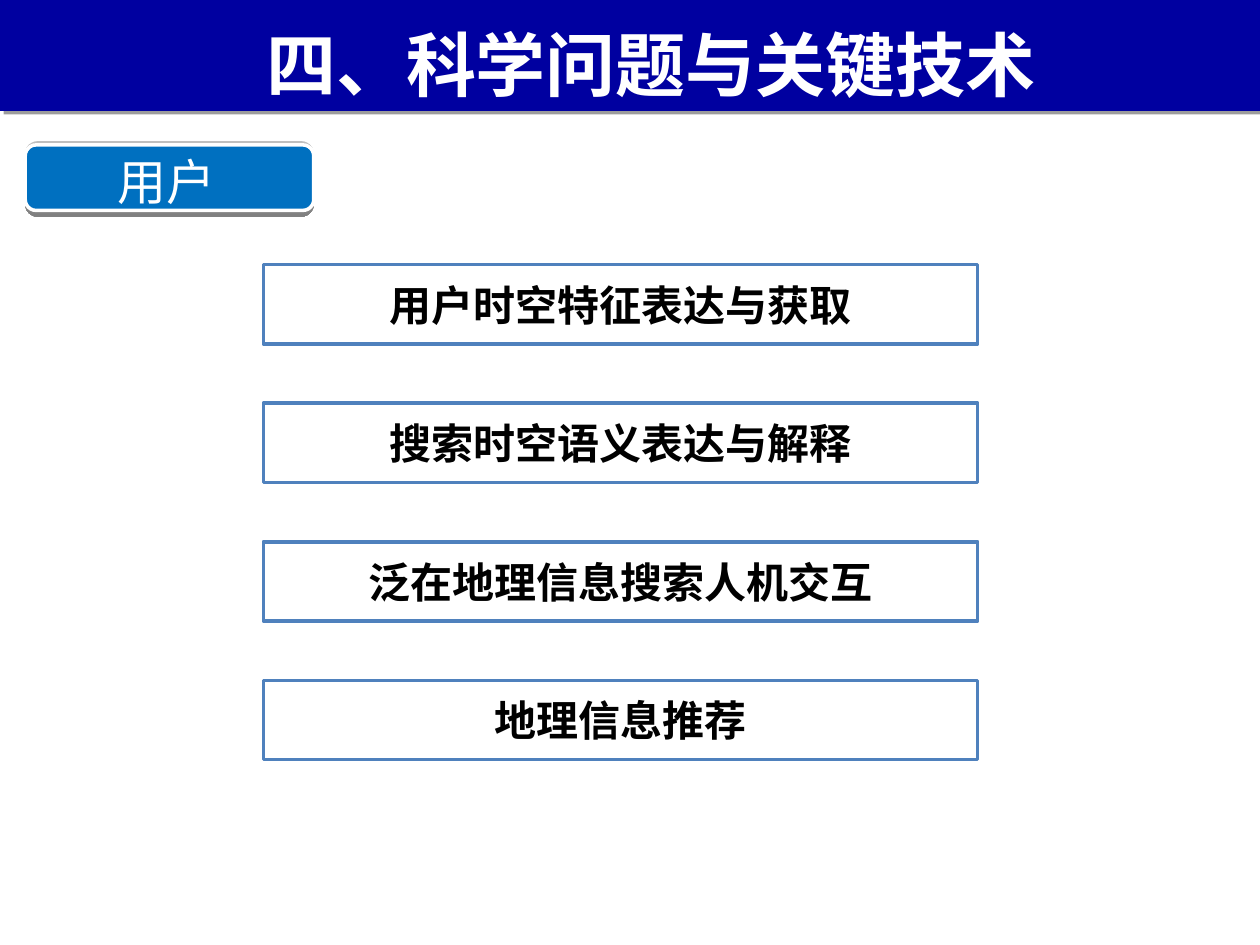
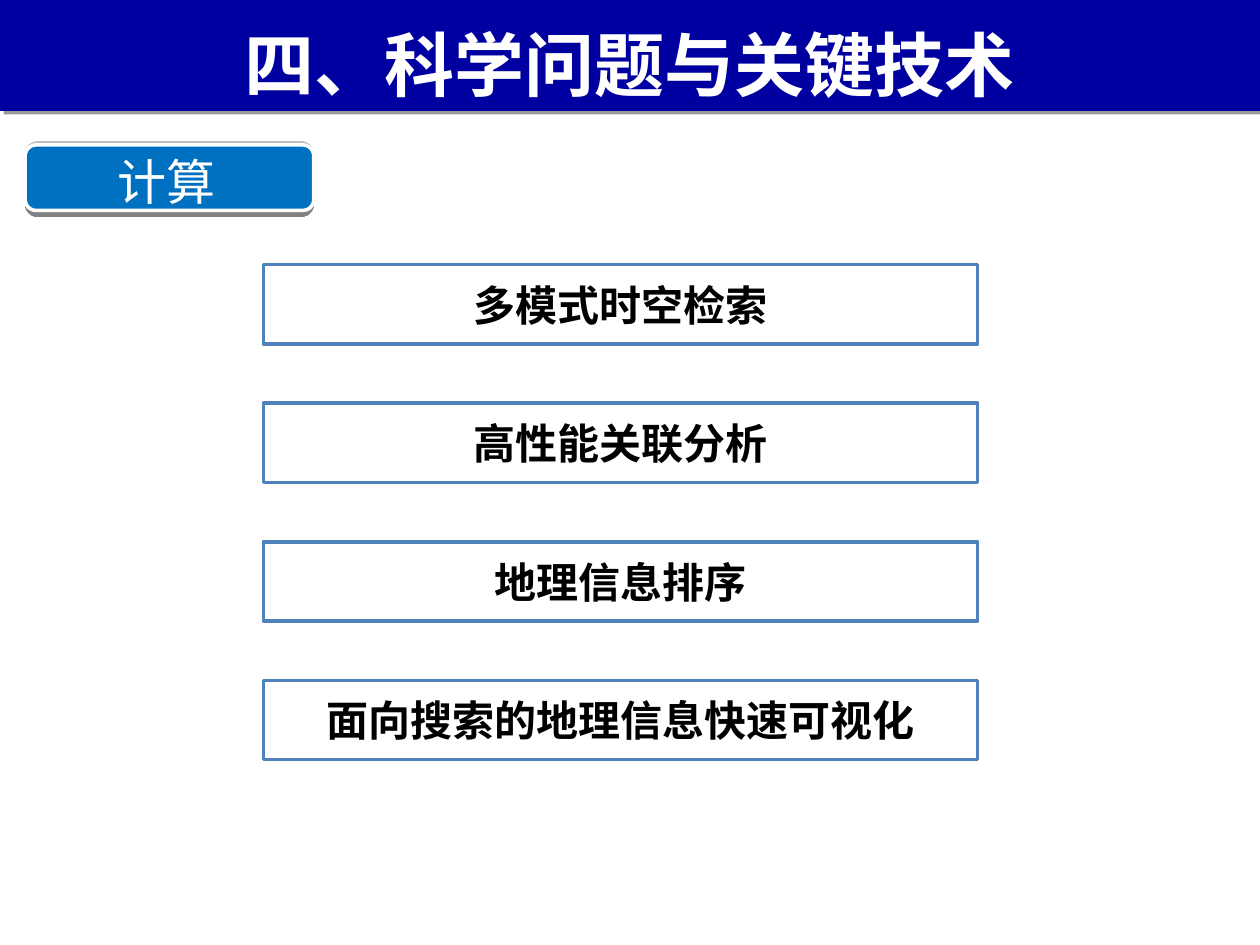
from dataclasses import dataclass
from typing import Any

from lxml.etree import SubElement
from pptx import Presentation
from pptx.dml.color import RGBColor
from pptx.enum.shapes import MSO_SHAPE as Preset
from pptx.enum.text import MSO_ANCHOR as Anchor, MSO_AUTO_SIZE as AutoSize, PP_ALIGN as Align
from pptx.oxml.ns import qn
from pptx.util import Pt

EMU_PER_PX = 9144
FONT = "Noto Sans CJK SC"
NAVY, BLUE, BORDER = "0000A0", "0070C0", "4F81BD"
WHITE, BLACK = "FFFFFF", "000000"
RIM_TOP, RIM_BOTTOM = "BFBFBF", "808080"
HEADING = "四、科学问题与关键技术"


@dataclass(frozen=True)
class Box:
    left: int
    top: int
    width: int
    height: int

    def emu(self) -> list[int]:
        return [px * EMU_PER_PX for px in (self.left, self.top, self.width, self.height)]


@dataclass(frozen=True)
class TextStyle:
    size: int
    color: str
    bold: bool
    frame: dict[str, Any]


@dataclass(frozen=True)
class Topic:
    badge: str
    items: tuple[str, ...]
    title_left: int


BAND = Box(0, 0, 1000, 88)
RIM = Box(20, 112, 229, 60)
FACE = Box(20, 115, 229, 52)
BADGE_LABEL = Box(24, 115, 216, 57)
FIRST_ITEM = Box(209, 210, 567, 63)
ITEM_STEP = 110

TITLE_STYLE = TextStyle(40, WHITE, True, {"vertical_anchor": Anchor.MIDDLE})
ITEM_STYLE = TextStyle(24, BLACK, True, {"vertical_anchor": Anchor.MIDDLE})
BADGE_STYLE = TextStyle(28, WHITE, False, {"auto_size": AutoSize.SHAPE_TO_FIT_TEXT})

TOPICS = (
    Topic("用户", ("用户时空特征表达与获取", "搜索时空语义表达与解释",
                 "泛在地理信息搜索人机交互", "地理信息推荐"), 44),
    Topic("计算", ("多模式时空检索", "高性能关联分析",
                 "地理信息排序", "面向搜索的地理信息快速可视化"), 27),
)


def rgb(color: str) -> RGBColor:
    return RGBColor.from_string(color)


def apply(target: Any, values: dict[str, Any]) -> None:
    for attribute, value in values.items():
        setattr(target, attribute, value)


def write(shape: Any, text: str, style: TextStyle) -> None:
    frame = shape.text_frame
    apply(frame, {"word_wrap": True, **style.frame})
    paragraph = frame.paragraphs[0]
    paragraph.alignment = Align.CENTER
    run = paragraph.add_run()
    run.text = text
    apply(run.font, {"name": FONT, "size": Pt(style.size), "bold": style.bold})
    run.font.color.rgb = rgb(style.color)
    SubElement(run.font._element, qn("a:ea"), typeface=FONT)


def add_panel(shapes: Any, preset: Preset, box: Box, fill: str, line: str = "") -> Any:
    panel = shapes.add_shape(preset, *box.emu())
    panel.shadow.inherit = False
    panel.fill.solid()
    panel.fill.fore_color.rgb = rgb(fill)
    if line:
        panel.line.color.rgb = rgb(line)
        panel.line.width = Pt(2)
    else:
        panel.line.fill.background()
    return panel


def add_label(shapes: Any, box: Box, text: str, style: TextStyle) -> None:
    write(shapes.add_textbox(*box.emu()), text, style)


def add_band(shapes: Any) -> None:
    band = add_panel(shapes, Preset.RECTANGLE, BAND, NAVY)
    effects = band._element.spPr.find(qn("a:effectLst"))
    shadow = SubElement(effects, qn("a:outerShdw"), blurRad="0", dist=str(Pt(3)),
                        dir="2700000", algn="tl", rotWithShape="0")
    tint = SubElement(shadow, qn("a:srgbClr"), val=BLACK)
    SubElement(tint, qn("a:alpha"), val="38000")


def add_badge(shapes: Any, text: str) -> None:
    badge = shapes.add_group_shape().shapes
    rim = add_panel(badge, Preset.ROUNDED_RECTANGLE, RIM, RIM_TOP)
    rim.fill.gradient()
    rim.fill.gradient_angle = 270
    for stop, color, position in zip(rim.fill.gradient_stops, (RIM_TOP, RIM_BOTTOM), (0, 1)):
        stop.color.rgb = rgb(color)
        stop.position = position
    add_panel(badge, Preset.ROUNDED_RECTANGLE, FACE, BLUE, WHITE)
    add_label(badge, BADGE_LABEL, text, BADGE_STYLE)


def add_items(shapes: Any, items: tuple[str, ...]) -> None:
    for row, text in enumerate(items):
        box = Box(FIRST_ITEM.left, FIRST_ITEM.top + row * ITEM_STEP,
                  FIRST_ITEM.width, FIRST_ITEM.height)
        write(add_panel(shapes, Preset.RECTANGLE, box, WHITE, BORDER), text, ITEM_STYLE)


def main() -> None:
    deck = Presentation()
    apply(deck, {"slide_width": 1000 * EMU_PER_PX, "slide_height": 750 * EMU_PER_PX})
    for topic in TOPICS:
        shapes = deck.slides.add_slide(deck.slide_layouts[6]).shapes
        add_band(shapes)
        add_badge(shapes, topic.badge)
        add_items(shapes, topic.items)
        add_label(shapes, Box(topic.title_left, 13, 945, 75), HEADING, TITLE_STYLE)
    deck.save("out.pptx")


if __name__ == "__main__":
    main()
